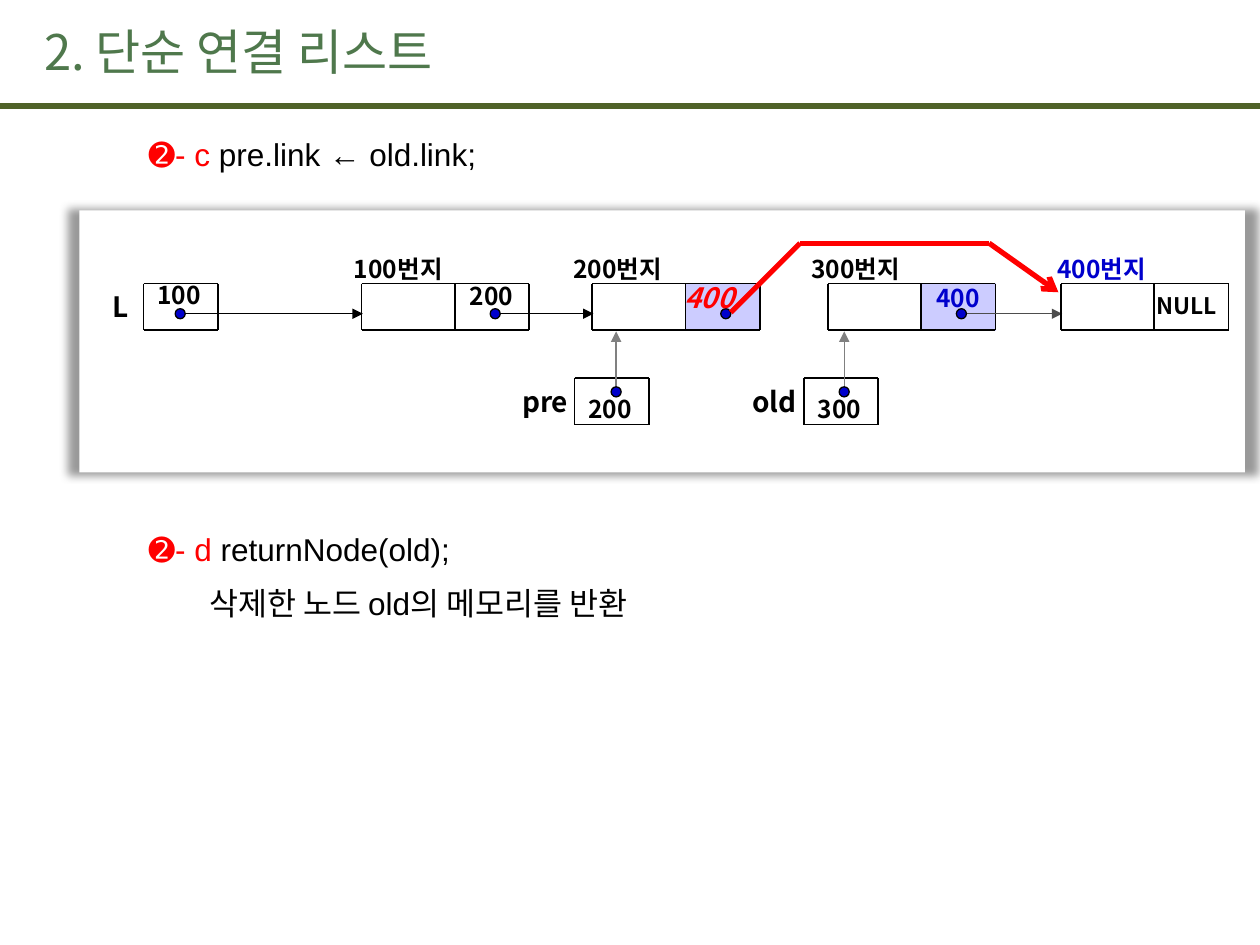
from dataclasses import dataclass
from itertools import pairwise

from lxml import etree
from pptx import Presentation
from pptx.dml.color import RGBColor
from pptx.enum.shapes import MSO_CONNECTOR, MSO_SHAPE
from pptx.enum.text import MSO_ANCHOR, PP_ALIGN
from pptx.oxml.ns import qn
from pptx.util import Inches, Pt

STRAIGHT = MSO_CONNECTOR.STRAIGHT
RECTANGLE, OVAL = MSO_SHAPE.RECTANGLE, MSO_SHAPE.OVAL
LEFT, CENTER, RIGHT = PP_ALIGN.LEFT, PP_ALIGN.CENTER, PP_ALIGN.RIGHT
MIDDLE = MSO_ANCHOR.MIDDLE


@dataclass(frozen=True)
class Theme:
    korean: str = "Noto Sans CJK KR"
    latin: str = "Arial"
    black: str = "000000"
    white: str = "FFFFFF"
    red: str = "FF0000"
    blue: str = "0000CC"
    lavender: str = "CCCCFF"
    gray: str = "808080"
    dark_gray: str = "4D4D4D"
    title_green: str = "4F784C"
    rule_green: str = "4F6228"
    title_size: float = 28
    body_size: float = 18
    name_size: float = 16
    value_size: float = 14
    null_size: float = 13


THEME = Theme()


@dataclass(frozen=True)
class Span:
    text: str
    size: float = THEME.value_size
    color: str = THEME.black
    font: str = THEME.korean
    bold: bool = True
    italic: bool = False


@dataclass(frozen=True)
class Node:
    left: float
    address: Span
    address_left: float
    value: Span | None = None
    value_left: float = 0
    value_y: float = 2.36
    link_fill: str | None = None
    next_left: float | None = None
    arrow_color: str = THEME.black


@dataclass(frozen=True)
class Pointer:
    name: str
    name_right: float
    value: str
    left: float
    top: float
    value_y: float
    dot_x: float
    dot_y: float
    arrow_end: tuple[float, float]
    arrow_color: str


# Diagram measures in inches
ROW_TOP, CELL_HEIGHT = 2.25, 0.37
DATA_WIDTH, LINK_WIDTH = 0.74, 0.59
LINK_Y, DOT_SIZE, LINE_HEIGHT = 2.49, 0.08, 0.3

NODES = [
    Node(2.87, Span("100번지"), 2.81, Span("200"), 3.73, 2.35, next_left=4.7),
    Node(4.7, Span("200번지"), 4.55,
         Span("400", THEME.name_size, THEME.red, italic=True), 5.43,
         link_fill=THEME.lavender),
    Node(6.57, Span("300번지"), 6.44, Span("400", color=THEME.blue), 7.43,
         link_fill=THEME.lavender, next_left=8.42, arrow_color=THEME.dark_gray),
    Node(8.42, Span("400번지", color=THEME.blue), 8.39),
]
POINTERS = [
    Pointer("L", 1.02, "100", 1.14, ROW_TOP, 2.34, 1.43, LINK_Y, (2.88, LINK_Y), THEME.black),
    Pointer("pre", 4.51, "200", 4.56, 3, 3.24, 4.89, 3.11, (4.89, 2.63), THEME.gray),
    Pointer("old", 6.32, "300", 6.38, 3, 3.24, 6.7, 3.11, (6.7, 2.63), THEME.gray),
]
NEW_LINK = [(5.8, 2.48), (6.35, 1.93), (7.85, 1.93), (8.4, 2.32)]


def add_span(para, span: Span) -> None:
    run = para.add_run()
    run.text = span.text
    formats = {"name": span.font, "size": Pt(span.size), "bold": span.bold,
               "italic": span.italic}
    for name, value in formats.items():
        setattr(run.font, name, value)
    run.font.color.rgb = RGBColor.from_string(span.color)
    east_asian = etree.Element(qn("a:ea"), typeface=THEME.korean)
    run.font._element.find(qn("a:latin")).addnext(east_asian)


def add_text(page, left: float, top: float, width: float, height: float,
             paragraphs: list[list[Span]], align=LEFT):
    box = page.shapes.add_textbox(Inches(left), Inches(top), Inches(width), Inches(height))
    frame = box.text_frame
    formats = {"word_wrap": True, "vertical_anchor": MIDDLE, "margin_left": 0,
               "margin_right": 0, "margin_top": 0, "margin_bottom": 0}
    for name, value in formats.items():
        setattr(frame, name, value)
    for index, spans in enumerate(paragraphs):
        para = frame.add_paragraph() if index else frame.paragraphs[0]
        para.alignment = align
        for span in spans:
            add_span(para, span)
    return box


def add_label(page, left: float, middle: float, width: float, span: Span, align=LEFT) -> None:
    add_text(page, left, middle - LINE_HEIGHT / 2, width, LINE_HEIGHT, [[span]], align)


def add_figure(page, kind, left: float, top: float, width: float, height: float,
               fill: str, outline: str):
    figure = page.shapes.add_shape(kind, Inches(left), Inches(top), Inches(width), Inches(height))
    figure.shadow.inherit = False
    figure.fill.solid()
    figure.fill.fore_color.rgb = RGBColor.from_string(fill)
    figure.line.width = Pt(0.75)
    figure.line.color.rgb = RGBColor.from_string(outline)
    return figure


def add_dot(page, x: float, y: float) -> None:
    add_figure(page, OVAL, x - DOT_SIZE / 2, y - DOT_SIZE / 2, DOT_SIZE, DOT_SIZE,
               THEME.blue, THEME.black)


def add_line(page, start: tuple[float, float], end: tuple[float, float], color: str,
             width: float = 0.75, head: str | None = None) -> None:
    line = page.shapes.add_connector(STRAIGHT, *map(Inches, (*start, *end)))
    line.line.width = Pt(width)
    line.line.color.rgb = RGBColor.from_string(color)
    if head:
        etree.SubElement(line.line._get_or_add_ln(), qn("a:tailEnd"), type=head)
    etree.SubElement(line._element.spPr, qn("a:effectLst"))


def add_cells(page, left: float, top: float, *widths: float) -> None:
    edges = [left + sum(widths[:count]) for count in range(len(widths) + 1)]
    bottom = top + CELL_HEIGHT
    for y in (top, bottom):
        add_line(page, (left, y), (edges[-1], y), THEME.black, 1)
    for x in edges:
        add_line(page, (x, top), (x, bottom), THEME.black, 1)


def add_panel(page) -> None:
    panel = add_figure(page, RECTANGLE, 0.63, 1.67, 9.25, 2.08, THEME.white, THEME.white)
    panel.line.fill.background()
    effects = panel._element.spPr.find(qn("a:effectLst"))
    shadow = etree.SubElement(effects, qn("a:outerShdw"), blurRad=str(Pt(5)), sx="102000",
                              sy="102000", algn="ctr", rotWithShape="0")
    color = etree.SubElement(shadow, qn("a:srgbClr"), val=THEME.black)
    etree.SubElement(color, qn("a:alpha"), val="40000")


def draw_node(page, node: Node) -> None:
    link_left = node.left + DATA_WIDTH
    if node.link_fill:
        add_figure(page, RECTANGLE, link_left, ROW_TOP, LINK_WIDTH, CELL_HEIGHT,
                   node.link_fill, node.link_fill)
    add_cells(page, node.left, ROW_TOP, DATA_WIDTH, LINK_WIDTH)
    add_label(page, node.address_left, 2.13, 0.9, node.address)
    if node.value is None:
        add_label(page, link_left - 0.07, 2.42, 0.65, Span("NULL", THEME.null_size), CENTER)
        return
    dot_x = link_left + 0.32
    if node.next_left:
        add_line(page, (dot_x, LINK_Y), (node.next_left + 0.01, LINK_Y),
                 node.arrow_color, head="triangle")
    add_dot(page, dot_x, LINK_Y)
    add_label(page, node.value_left, node.value_y, 0.5, node.value)


def draw_pointer(page, pointer: Pointer) -> None:
    add_cells(page, pointer.left, pointer.top, LINK_WIDTH)
    add_label(page, pointer.name_right - 0.6, pointer.top + CELL_HEIGHT / 2, 0.6,
              Span(pointer.name, THEME.name_size), RIGHT)
    add_label(page, pointer.left + 0.11, pointer.value_y, 0.45, Span(pointer.value))
    add_line(page, (pointer.dot_x, pointer.dot_y), pointer.arrow_end,
             pointer.arrow_color, head="triangle")
    add_dot(page, pointer.dot_x, pointer.dot_y)


def body(text: str, color: str = THEME.black) -> Span:
    return Span(text, THEME.body_size, color, THEME.latin, bold=False)


def main() -> None:
    deck = Presentation()
    deck.slide_width, deck.slide_height = Inches(10), Inches(7.5)
    page = deck.slides.add_slide(deck.slide_layouts[6])

    # Title and rule
    add_line(page, (0, 0.84), (10, 0.84), THEME.rule_green, 3.75)
    title = Span("2. 단순 연결 리스트", THEME.title_size, THEME.title_green, bold=False)
    add_text(page, 0.35, 0.09, 8.07, 0.63, [[title]])

    # Algorithm steps
    add_text(page, 1.18, 1.02, 8, 0.4, [[body("➋- c ", THEME.red), body("pre.link ← old.link;")]])
    steps = add_text(page, 1.18, 4.17, 8, 0.8, [
        [body("➋- d ", THEME.red), body("returnNode(old);")],
        [body("삭제한 노드 old의 메모리를 반환")],
    ])
    note = steps.text_frame.paragraphs[1]
    note.space_before = Pt(9)
    note._p.get_or_add_pPr().set("marL", str(Inches(0.48)))

    # Linked list diagram
    add_panel(page)
    for node in NODES:
        draw_node(page, node)
    for pointer in POINTERS:
        draw_pointer(page, pointer)

    # New link that skips the deleted node
    for start, end in pairwise(NEW_LINK):
        add_line(page, start, end, THEME.red, 3, "arrow" if end == NEW_LINK[-1] else None)

    deck.save("out.pptx")


if __name__ == "__main__":
    main()
